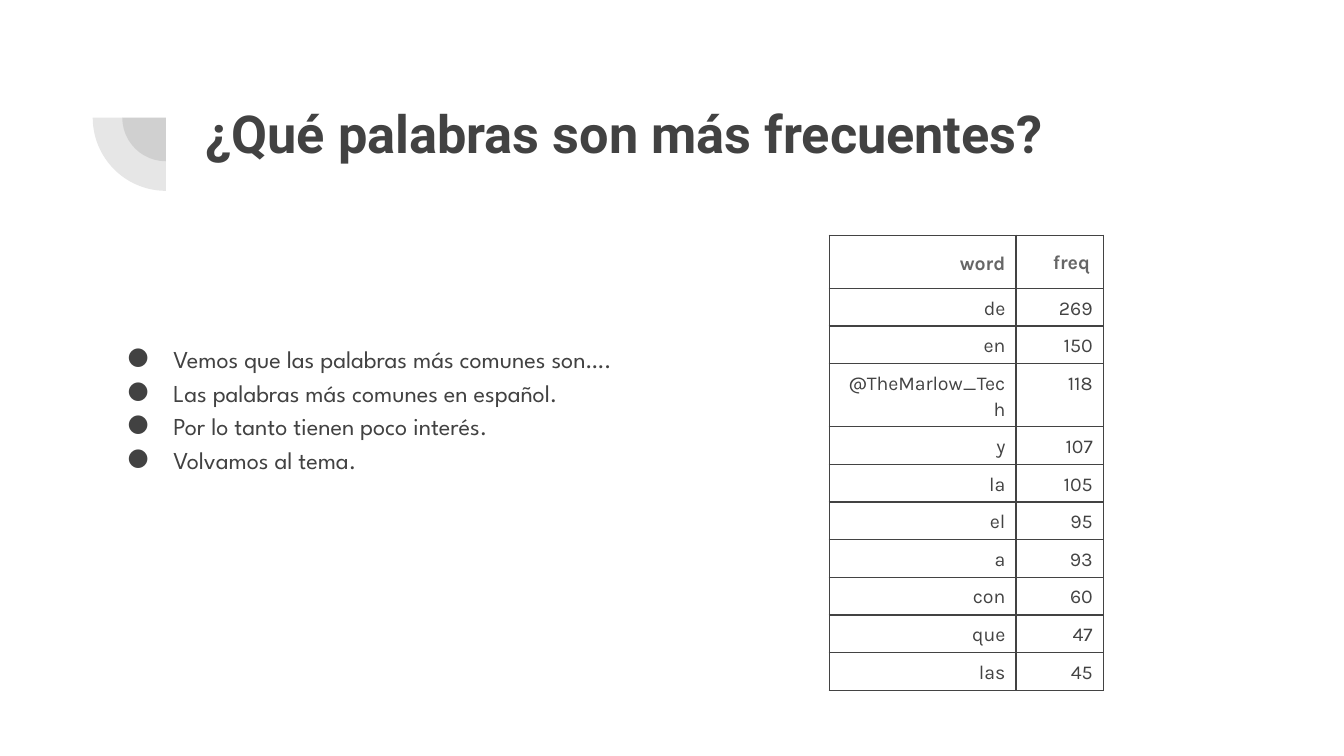
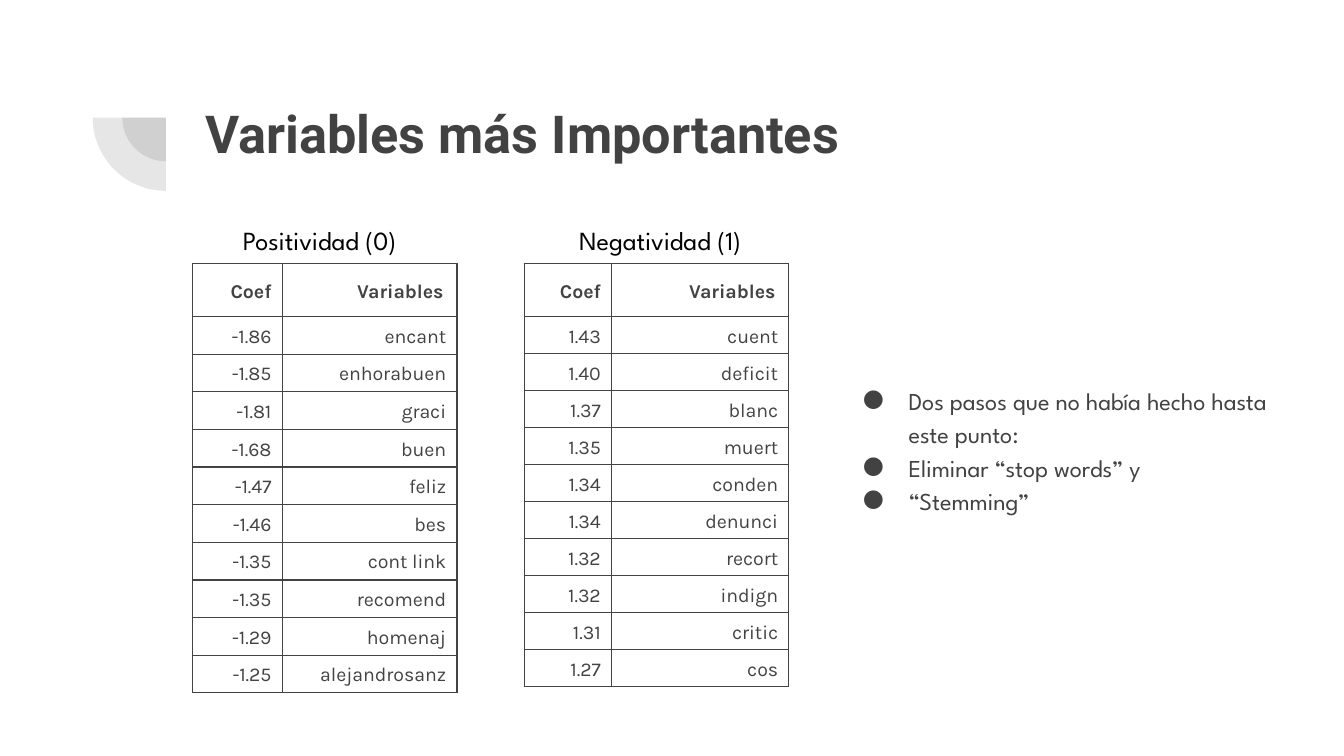
import pptx
import pptx.dml.color
import pptx.enum.shapes
import pptx.enum.text
import pptx.oxml
import pptx.oxml.ns
import pptx.util
from lxml import etree

# Shared style
INK = "424242"
TABLE_INK = "434343"
HEADER_GREY = "666666"
BLACK = "000000"
WHITE = "FFFFFF"
TITLE_FONT, BODY_FONT, TABLE_FONT = "Roboto", "League Spartan", "Karla"
LINE_SPACING = 1.15
GRID_COLUMNS, GRID_ROWS = 100, 56.25
ALIGN = pptx.enum.text.PP_ALIGN
ANCHOR = pptx.enum.text.MSO_ANCHOR
AUTO_SIZE = pptx.enum.text.MSO_AUTO_SIZE


def color(hex_string):
    return pptx.dml.color.RGBColor.from_string(hex_string)


def add_element(parent, tag, **attributes):
    return etree.SubElement(parent, pptx.oxml.ns.qn(tag), **attributes)


class Deck:
    def __init__(self):
        self.presentation = pptx.Presentation()
        self.presentation.slide_width = pptx.util.Inches(10)
        self.presentation.slide_height = pptx.util.Inches(5.625)
        self.slide = None

    def columns(self, count):
        return round(self.presentation.slide_width * count / GRID_COLUMNS)

    def rows(self, count):
        return round(self.presentation.slide_height * count / GRID_ROWS)

    def place(self, shape, left, top, width, height):
        shape.left, shape.top = self.columns(left), self.rows(top)
        shape.width, shape.height = self.columns(width), self.rows(height)

    def inset(self, target, horizontal=1.0, vertical=1.0):
        target.margin_left = target.margin_right = self.columns(horizontal)
        target.margin_top = target.margin_bottom = self.rows(vertical)

    def add_text(self, paragraph, text, font, size, ink, bold=False):
        run = paragraph.add_run()
        run.text = text
        run.font.name = font
        run.font.size = pptx.util.Pt(size)
        run.font.bold = bold
        run.font.color.rgb = color(ink)

    def add_slide(self, title):
        layout = self.presentation.slide_layouts[1]
        self.slide = self.presentation.slides.add_slide(layout)
        self.slide.background.fill.solid()
        self.slide.background.fill.fore_color.rgb = color(WHITE)
        for diameter in (6.5, 10.9):
            self.quarter_circle(12.35, 8.75, diameter)
        shape = self.slide.shapes.title
        self.place(shape, 14.3, 6.5, 76.9, 10.9)
        frame = self.prepare_frame(shape, AUTO_SIZE.NONE)
        frame.paragraphs[0].alignment = ALIGN.LEFT
        self.add_text(frame.paragraphs[0], title, TITLE_FONT, 28, INK, True)

    def quarter_circle(self, center_column, center_row, diameter):
        shape = self.slide.shapes.add_shape(
            pptx.enum.shapes.MSO_SHAPE.PIE, 0, 0, 1, 1)
        self.place(shape, center_column - diameter / 2,
                   center_row - diameter / 2, diameter, diameter)
        shape.adjustments[0], shape.adjustments[1] = 108, 162
        shape.rotation = 270
        shape.shadow.inherit = False
        shape.fill.solid()
        shape.fill.fore_color.rgb = color(INK)
        tint = shape.element.find(".//" + pptx.oxml.ns.qn("a:srgbClr"))
        add_element(tint, "a:alpha", val="13000")
        shape.line.fill.background()

    def prepare_frame(self, shape, auto_size):
        frame = shape.text_frame
        frame.word_wrap = True
        frame.auto_size = auto_size
        frame.vertical_anchor = ANCHOR.TOP
        self.inset(frame)
        return frame

    def bullets(self, items, left, top, width, height):
        shape = self.slide.placeholders[1]
        self.place(shape, left, top, width, height)
        frame = self.prepare_frame(shape, AUTO_SIZE.NONE)
        for index, item in enumerate(items):
            paragraph = frame.add_paragraph() if index else frame.paragraphs[0]
            paragraph.alignment = ALIGN.LEFT
            paragraph.line_spacing = LINE_SPACING
            paragraph.space_before = pptx.util.Pt(0)
            self.add_text(paragraph, item, BODY_FONT, 13, INK)
            properties = paragraph._p.get_or_add_pPr()
            properties.set("marL", str(self.columns(5)))
            properties.set("indent", str(-self.columns(3.4)))
            bullet_color = add_element(properties, "a:buClr")
            add_element(bullet_color, "a:srgbClr", val=INK)
            add_element(properties, "a:buFont", typeface=BODY_FONT)
            add_element(properties, "a:buChar", char="●")

    def caption(self, text, left, top, width, height):
        shape = self.slide.shapes.add_textbox(0, 0, 1, 1)
        self.place(shape, left, top, width, height)
        frame = self.prepare_frame(shape, AUTO_SIZE.SHAPE_TO_FIT_TEXT)
        self.add_text(frame.paragraphs[0], text, BODY_FONT, 14, BLACK)

    def border(self, cell):
        properties = cell._tc.get_or_add_tcPr()
        for side in ("a:lnL", "a:lnR", "a:lnT", "a:lnB"):
            line = add_element(properties, side, w=str(int(pptx.util.Pt(0.75))))
            fill = add_element(line, "a:solidFill")
            add_element(fill, "a:srgbClr", val=TABLE_INK)

    def table(self, records, left, top, widths, row_height=2.8,
              header_ink=TABLE_INK):
        table = self.slide.shapes.add_table(
            len(records), len(widths), self.columns(left), self.rows(top),
            self.columns(sum(widths)), self.rows(row_height * len(records))).table
        table.first_row = table.horz_banding = False
        for column, width in zip(table.columns, widths):
            column.width = self.columns(width)
        for row_index, record in enumerate(records):
            header = row_index == 0
            table.rows[row_index].height = self.rows(2.8 if header else row_height)
            for column_index, text in enumerate(record):
                cell = table.cell(row_index, column_index)
                self.border(cell)
                cell.fill.background()
                if header and column_index:
                    self.inset(cell)
                else:
                    self.inset(cell, 0.8, 0.4)
                cell.vertical_anchor = (
                    ANCHOR.MIDDLE if header and not column_index else ANCHOR.TOP)
                paragraph = cell.text_frame.paragraphs[0]
                paragraph.alignment = ALIGN.RIGHT
                paragraph.line_spacing = LINE_SPACING
                self.add_text(paragraph, text, TABLE_FONT, 10.5,
                              header_ink if header else TABLE_INK, header)


deck = Deck()

# Slide 1: most frequent words
deck.add_slide("¿Qué palabras son más frecuentes?")
deck.bullets([
    "Vemos que las palabras más comunes son….",
    "Las palabras más comunes en español.",
    "Por lo tanto tienen poco interés.",
    "Volvamos al tema.",
], 6.9, 24.3, 50.3, 16.6)
deck.table([
    ("word", "freq"), ("de", "269"), ("en", "150"),
    ("@TheMarlow_Tech", "118"), ("y", "107"), ("la", "105"), ("el", "95"),
    ("a", "93"), ("con", "60"), ("que", "47"), ("las", "45"),
], 61.7, 17.5, (13.9, 6.5), header_ink=HEADER_GREY)

# Slide 2: most important variables
deck.add_slide("Variables más Importantes")
coefficient_header = ("Coef", "Variables")
deck.table([
    coefficient_header, ("1.43", "cuent"), ("1.40", "deficit"),
    ("1.37", "blanc"), ("1.35", "muert"), ("1.34", "conden"),
    ("1.34", "denunci"), ("1.32", "recort"), ("1.32", "indign"),
    ("1.31", "critic"), ("1.27", "cos"),
], 39, 19.6, (6.5, 13.2), row_height=1.9)
deck.table([
    coefficient_header, ("-1.86", "encant"), ("-1.85", "enhorabuen"),
    ("-1.81", "graci"), ("-1.68", "buen"), ("-1.47", "feliz"),
    ("-1.46", "bes"), ("-1.35", "cont link"), ("-1.35", "recomend"),
    ("-1.29", "homenaj"), ("-1.25", "alejandrosanz"),
], 14.3, 19.6, (6.7, 13))
deck.caption("Positividad (0)", 17.1, 15.7, 14.7, 4.4)
deck.caption("Negatividad (1)", 42.1, 15.7, 15.8, 4.4)
deck.bullets([
    "Dos pasos que no había hecho hasta este punto:",
    "Eliminar “stop words” y",
    "“Stemming”",
], 61.6, 27.4, 36, 16.6)

deck.presentation.save("out.pptx")
